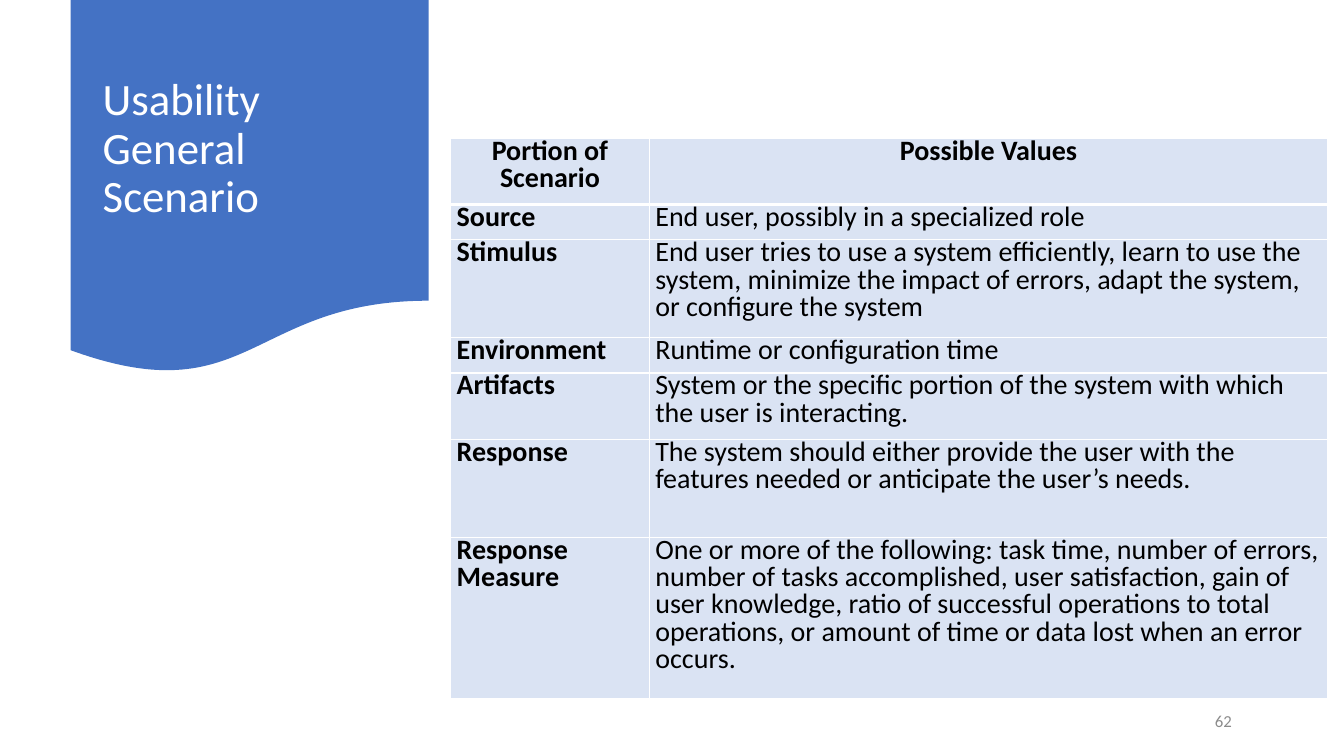
from lxml import etree
from pptx import Presentation
from pptx import util as u
from pptx.dml.color import RGBColor
from pptx.enum import shapes, text
from pptx.oxml import ns

BLUE = RGBColor(0x44, 0x72, 0xC4)
PALE_BLUE = RGBColor(0xDA, 0xE3, 0xF3)
WHITE = RGBColor(0xFF, 0xFF, 0xFF)
BLACK = RGBColor(0, 0, 0)
GRAY = RGBColor(0x8C, 0x8C, 0x8C)

HEADINGS = ("Portion of\vScenario", "Possible Values")
SCENARIO = [
    ("Source", "End user, possibly in a specialized role"),
    ("Stimulus", "End user tries to use a system efficiently, learn to use the system, "
                 "minimize the impact of errors, adapt the system, or configure the system"),
    ("Environment", "Runtime or configuration time"),
    ("Artifacts", "System or the specific portion of the system with which the user is interacting."),
    ("Response", "The system should either provide the user with the features needed "
                 "or anticipate the user’s needs."),
    ("Response Measure", "One or more of the following: task time, number of errors, number of tasks "
                         "accomplished, user satisfaction, gain of user knowledge, ratio of successful "
                         "operations to total operations, or amount of time or data lost when an error "
                         "occurs."),
]
LONG_VALUES = ("Stimulus", "Response Measure")
COLUMN_WIDTHS = (1.97, 6.73)
ROW_HEIGHTS = (0.66, 0.35, 0.97, 0.35, 0.66, 0.97, 1.6)


class ScenarioSlide:
    font_name = "Calibri"

    def __init__(self, presentation):
        self.slide = presentation.slides.add_slide(presentation.slide_layouts[6])

    def style(self, paragraph, size, color, bold=False):
        font = paragraph.font
        font.name, font.size, font.bold = self.font_name, u.Pt(size), bold
        font.color.rgb = color

    def banner(self, *box):
        banner = self.slide.shapes.add_shape(
            shapes.MSO_SHAPE.FLOWCHART_DOCUMENT, *map(u.Inches, box))
        banner.shadow.inherit = False
        banner.fill.solid()
        banner.fill.fore_color.rgb = BLUE
        banner.line.fill.background()

    def label(self, wording, box, size, color, line_spacing=1.0):
        frame = self.slide.shapes.add_textbox(*map(u.Inches, box)).text_frame
        frame.word_wrap = True
        frame.vertical_anchor = text.MSO_ANCHOR.MIDDLE
        paragraph = frame.paragraphs[0]
        paragraph.text = wording
        paragraph.line_spacing = line_spacing
        self.style(paragraph, size, color)

    def borders(self, cell, row):
        properties = cell._tc.get_or_add_tcPr()
        widths = {"L": 1, "R": 1, "T": 3 if row == 1 else 1, "B": 3 if row == 0 else 1}
        for side, width in widths.items():
            line = etree.SubElement(properties, ns.qn(f"a:ln{side}"), w=str(u.Pt(width)))
            fill = etree.SubElement(line, ns.qn("a:solidFill"))
            etree.SubElement(fill, ns.qn("a:srgbClr"), val=str(WHITE))

    def cell(self, cell, wording, row, bold, spacing):
        self.borders(cell, row)
        cell.fill.solid()
        cell.fill.fore_color.rgb = PALE_BLUE
        cell.margin_left = cell.margin_right = u.Inches(0.06)
        cell.margin_top = cell.margin_bottom = 0
        paragraph = cell.text_frame.paragraphs[0]
        paragraph.text = wording
        paragraph.line_spacing = 0.8
        paragraph.space_before, paragraph.space_after = map(u.Pt, spacing)
        if row == 0:
            paragraph.alignment = text.PP_ALIGN.CENTER
        self.style(paragraph, 20, BLACK, bold)

    def table(self, left, top, rows):
        table = self.slide.shapes.add_table(
            len(rows), len(COLUMN_WIDTHS), u.Inches(left), u.Inches(top),
            u.Inches(sum(COLUMN_WIDTHS)), u.Inches(sum(ROW_HEIGHTS))).table
        table.first_row = table.horz_banding = False
        for column, width in zip(table.columns, COLUMN_WIDTHS):
            column.width = u.Inches(width)
        for row, (portion, values) in enumerate(rows):
            table.rows[row].height = u.Inches(ROW_HEIGHTS[row])
            value_spacing = (1, 3) if portion in LONG_VALUES else (4, 4)
            self.cell(table.cell(row, 0), portion, row, True, (4, 4))
            self.cell(table.cell(row, 1), values, row, row == 0, value_spacing)


def main():
    presentation = Presentation()
    presentation.slide_width = u.Inches(13.33)
    presentation.slide_height = u.Inches(7.5)
    usability = ScenarioSlide(presentation)
    usability.banner(0.7, 0, 3.55, 3.72)
    usability.label("Usability General Scenario", (0.92, 0.19, 3.11, 2.59), 32, WHITE, 0.9)
    usability.label("62", (11.95, 6.95, 0.68, 0.4), 12, GRAY)
    usability.table(4.47, 1.37, [HEADINGS, *SCENARIO])
    presentation.save("out.pptx")


if __name__ == "__main__":
    main()
